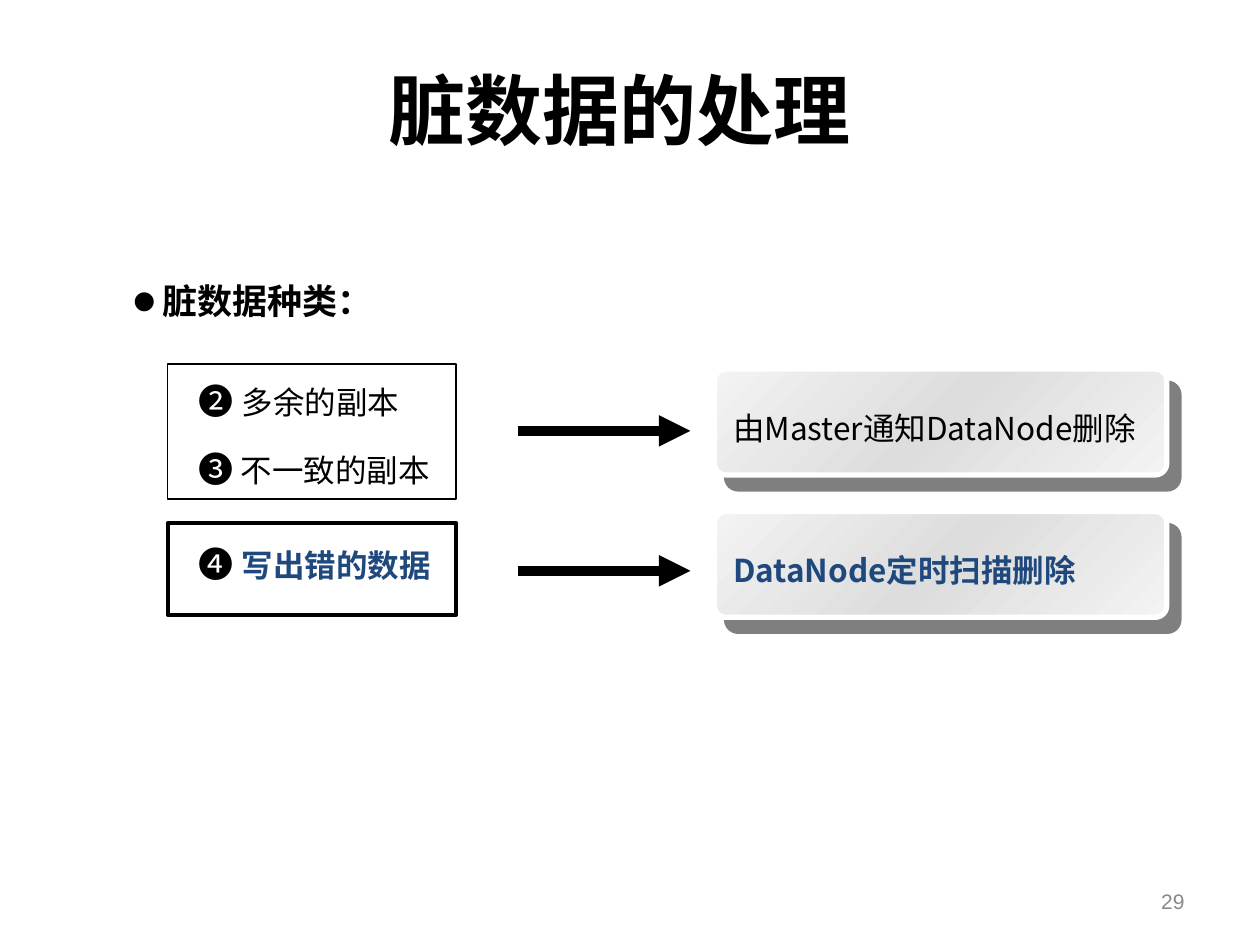
from lxml import etree
from pptx import Presentation
from pptx import util as u
from pptx.dml.color import RGBColor
from pptx.enum import shapes, text
from pptx.oxml import parse_xml
from pptx.oxml.ns import nsdecls, qn

COLORS = {"black": "000000", "blue": "1F497D", "gray": "898989", "white": "FFFFFF",
          "light": "F3F3F3", "middle": "DDDDDD"}
CJK = "Noto Sans CJK SC"
TITLE = "脏数据的处理"
HEADING = "脏数据种类："
PAGE_NUMBER = "29"

ROWS = [
    {"kinds": [(2.96, "❷ ", "多余的副本"), (3.5, "❸", " 不一致的副本")],
     "frame": (2.89, 1.07, 0.75), "arrow": 3.42, "panel": 2.93,
     "action": "由Master通知DataNode删除", "color": "black", "bold": False},
    {"kinds": [(4.26, "❹ ", "写出错的数据")],
     "frame": (4.15, 0.73, 2.25), "arrow": 4.53, "panel": 4.06,
     "action": "DataNode定时扫描删除", "color": "blue", "bold": True},
]


def rgb(name):
    return RGBColor.from_string(COLORS[name])


def place(shape, left, top, width, height):
    shape.left, shape.top = u.Inches(left), u.Inches(top)
    shape.width, shape.height = u.Inches(width), u.Inches(height)


def add_run(paragraph, words, size, font="Arial", color="black", bold=False):
    run = paragraph.add_run()
    run.text = words
    run.font.size, run.font.name, run.font.bold = u.Pt(size), font, bold
    run.font.color.rgb = rgb(color)
    east_asian = etree.SubElement(run.font._element, qn("a:ea"))
    east_asian.set("typeface", CJK)


def add_text(container, left, top, width, height):
    box = container.add_textbox(*map(u.Inches, (left, top, width, height)))
    box.text_frame.word_wrap = True
    return box.text_frame


def add_frame(slide, top, height, weight):
    frame = slide.shapes.add_shape(
        shapes.MSO_SHAPE.RECTANGLE, *map(u.Inches, (1.33, top, 2.29, height)))
    frame.shadow.inherit = False
    frame.fill.background()
    frame.line.color.rgb = rgb("black")
    frame.line.width = u.Pt(weight)


def add_arrow(slide, y):
    arrow = slide.shapes.add_connector(
        shapes.MSO_CONNECTOR.STRAIGHT, *map(u.Inches, (4.11, y, 5.48, y)))
    arrow.line.color.rgb = rgb("black")
    arrow.line.width = u.Pt(6)
    etree.SubElement(arrow.line._get_or_add_ln(), qn("a:tailEnd")).set("type", "triangle")
    etree.SubElement(arrow._element.spPr, qn("a:effectLst"))


def add_panel(slide, top, words, color, bold):
    group = slide.shapes.add_group_shape()
    panel = group.shapes.add_shape(
        shapes.MSO_SHAPE.ROUNDED_RECTANGLE, *map(u.Inches, (5.67, top, 3.59, 0.84)))
    panel.adjustments[0] = 0.11
    panel.line.color.rgb = rgb("white")
    panel.line.width = u.Pt(3)
    stops = "".join(
        f'<a:gs pos="{position * 1000}"><a:srgbClr val="{COLORS[name]}"/></a:gs>'
        for position, name in ((0, "light"), (50, "middle"), (100, "light")))
    properties = panel._element.spPr
    properties.find(qn("a:ln")).addprevious(parse_xml(
        f'<a:gradFill {nsdecls("a")} rotWithShape="1"><a:gsLst>{stops}</a:gsLst>'
        '<a:lin ang="2700000" scaled="0"/></a:gradFill>'))
    properties.append(parse_xml(
        f'<a:effectLst {nsdecls("a")}><a:outerShdw blurRad="0" dist="{u.Pt(10.6)}" '
        f'dir="{49 * 60000}" algn="ctr" rotWithShape="0"><a:srgbClr val="{COLORS["black"]}">'
        '<a:alpha val="50000"/></a:srgbClr></a:outerShdw></a:effectLst>'))
    frame = add_text(group.shapes, 5.72, top + 0.265, 3.65, 0.4)
    add_run(frame.paragraphs[0], words, 18, CJK, color, bold)


def add_heading(body):
    place(body, 0.95, 2.17, 3.18, 0.44)
    paragraph = body.text_frame.paragraphs[0]
    properties = paragraph._p.get_or_add_pPr()
    properties.set("marL", str(u.Inches(0.24)))
    properties.set("indent", str(-u.Inches(0.24)))
    color = etree.SubElement(properties, qn("a:buClr"))
    etree.SubElement(color, qn("a:srgbClr")).set("val", COLORS["black"])
    for tag, key, value in (("buSzPct", "val", "200000"), ("buFont", "typeface", "Arial"),
                            ("buChar", "char", "•")):
        etree.SubElement(properties, qn(f"a:{tag}")).set(key, value)
    paragraph.space_before = u.Pt(0)
    add_run(paragraph, HEADING, 20, bold=True)


def main():
    presentation = Presentation()
    presentation.slide_width, presentation.slide_height = u.Inches(10), u.Inches(7.5)
    slide = presentation.slides.add_slide(presentation.slide_layouts[1])

    title = slide.shapes.title
    place(title, 0.42, 0.24, 9, 1.25)
    title.text_frame.vertical_anchor = text.MSO_ANCHOR.MIDDLE
    title.text_frame.paragraphs[0].alignment = text.PP_ALIGN.CENTER
    add_run(title.text_frame.paragraphs[0], TITLE, 44, "Calibri", bold=True)
    add_heading(slide.placeholders[1])

    for row in ROWS:
        for top, number, words in row["kinds"]:
            paragraph = add_text(slide.shapes, 1.48, top, 2.07, 0.44).paragraphs[0]
            add_run(paragraph, number, 20)
            add_run(paragraph, words, 18, CJK, row["color"], row["bold"])
        add_frame(slide, *row["frame"])
        add_arrow(slide, row["arrow"])
        add_panel(slide, row["panel"], row["action"], row["color"], row["bold"])

    footer = add_text(slide.shapes, 7.17, 6.95, 2.33, 0.4)
    footer.vertical_anchor = text.MSO_ANCHOR.MIDDLE
    footer.paragraphs[0].alignment = text.PP_ALIGN.RIGHT
    add_run(footer.paragraphs[0], PAGE_NUMBER, 12, color="gray")
    presentation.save("out.pptx")


if __name__ == "__main__":
    main()
